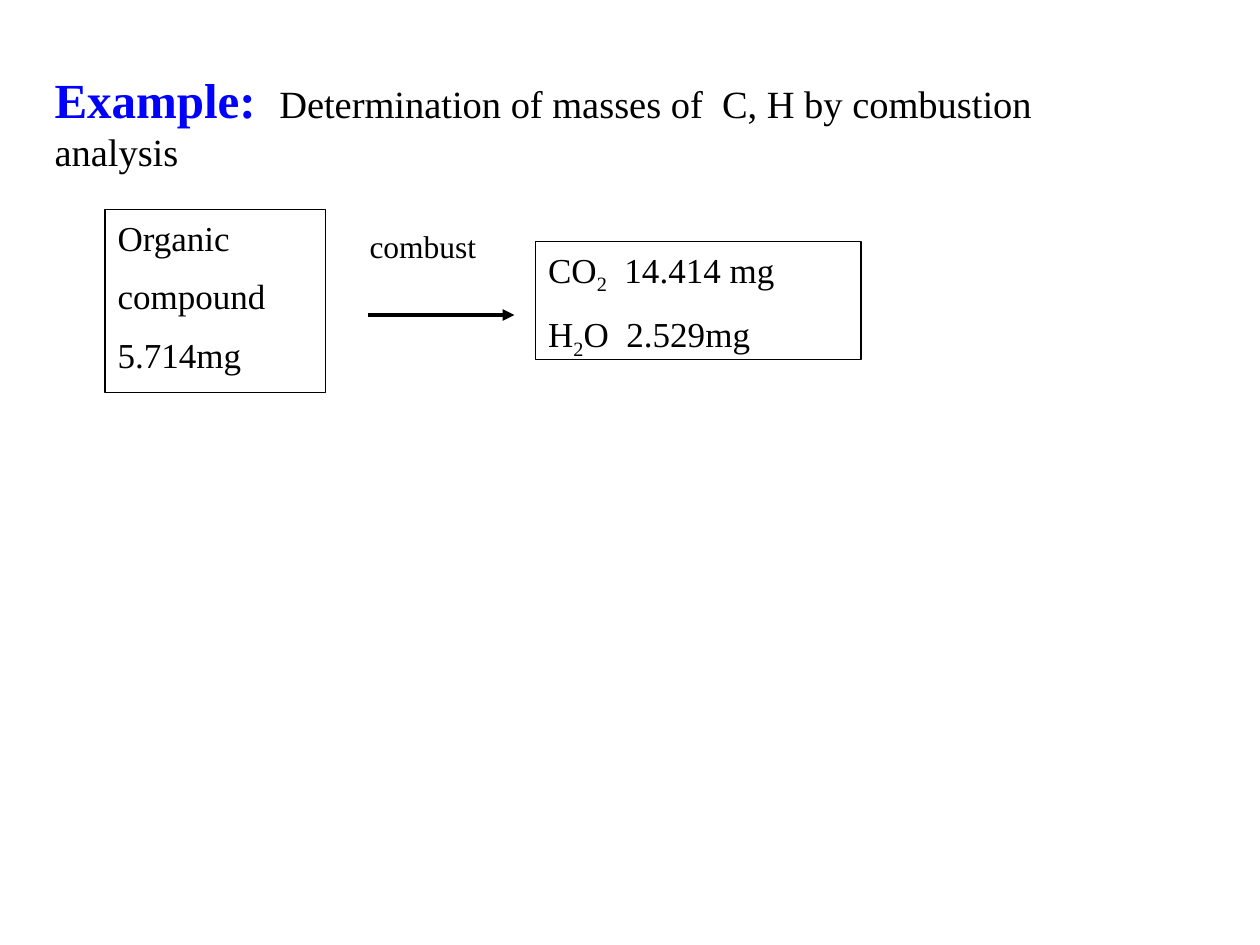
from lxml import etree
from pptx import Presentation
from pptx.dml.color import RGBColor
from pptx.enum.shapes import MSO_CONNECTOR as Connector
from pptx.enum.shapes import MSO_SHAPE as Shape
from pptx.enum.text import MSO_ANCHOR as Anchor
from pptx.enum.text import MSO_AUTO_SIZE as AutoSize
from pptx.enum.text import PP_ALIGN as Align
from pptx.oxml.ns import qn
from pptx.util import Cm, Pt

BLACK = RGBColor(0x00, 0x00, 0x00)
BLUE = RGBColor(0x00, 0x00, 0xFF)
FONT = "Times New Roman"


def add_run(paragraph, text, size, color=BLACK, bold=False, subscript=False):
    run = paragraph.add_run()
    run.text = text
    run.font.name = FONT
    run.font.size = Pt(size)
    run.font.bold = bold
    run.font.color.rgb = color
    if subscript:
        run.font._element.set("baseline", "-25000")


def prepare_frame(shape):
    frame = shape.text_frame
    frame.word_wrap = True
    frame.auto_size = AutoSize.NONE
    frame.vertical_anchor = Anchor.TOP
    frame.margin_left = frame.margin_right = Cm(0.25)
    frame.margin_top = frame.margin_bottom = Cm(0.13)
    frame.paragraphs[0].alignment = Align.LEFT
    return frame


def place_title(slide, left, top, width, height):
    title = slide.shapes.title
    title.left, title.top, title.width, title.height = left, top, width, height
    paragraph = prepare_frame(title).paragraphs[0]
    properties = paragraph._p.get_or_add_pPr()
    tabs = etree.SubElement(properties, qn("a:tabLst"))
    etree.SubElement(tabs, qn("a:tab"), pos=str(Cm(4.53)), algn="l")
    add_run(paragraph, "Example:", 28, BLUE, bold=True)
    add_run(paragraph, "\tDetermination of masses of  C, H by combustion", 22)
    paragraph.add_line_break()
    add_run(paragraph, "analysis", 22)


def add_substance_box(slide, left, top, width, height, lines):
    box = slide.shapes.add_shape(Shape.RECTANGLE, left, top, width, height)
    box.shadow.inherit = False
    box.fill.background()
    box.line.color.rgb = BLACK
    box.line.width = Pt(0.75)
    frame = prepare_frame(box)
    for index, parts in enumerate(lines):
        if index:
            paragraph = frame.add_paragraph()
            paragraph.space_before = Pt(9.5)
            paragraph.alignment = Align.LEFT
        else:
            paragraph = frame.paragraphs[0]
        for position, text in enumerate(parts):
            add_run(paragraph, text, 20, subscript=position == 1)


def add_reaction_arrow(slide, left, top, width, height, label):
    text_box = slide.shapes.add_textbox(left, top, width, Cm(1.02))
    add_run(prepare_frame(text_box).paragraphs[0], label, 18)
    start = left + Cm(0.21)
    arrow = slide.shapes.add_connector(
        Connector.STRAIGHT, start, top + height, start + Cm(2.96), top + height
    )
    arrow.line.color.rgb = BLACK
    arrow.line.width = Pt(2.25)
    etree.SubElement(arrow.line._get_or_add_ln(), qn("a:tailEnd"), type="triangle")
    etree.SubElement(arrow._element.spPr, qn("a:effectLst"))


def main():
    presentation = Presentation()
    presentation.slide_width, presentation.slide_height = Cm(25.4), Cm(19.05)
    slide = presentation.slides.add_slide(presentation.slide_layouts[5])
    place_title(slide, Cm(0.85), Cm(1.27), Cm(23.5), Cm(2.38))
    add_substance_box(
        slide, Cm(2.12), Cm(4.23), Cm(4.45), Cm(3.68),
        [["Organic"], ["compound"], ["5.714mg"]],
    )
    add_reaction_arrow(slide, Cm(7.2), Cm(4.45), Cm(3.6), Cm(1.9), "combust")
    add_substance_box(
        slide, Cm(10.8), Cm(4.87), Cm(6.56), Cm(2.38),
        [["CO", "2", "  14.414 mg"], ["H", "2", "O  2.529mg"]],
    )
    presentation.save("out.pptx")


if __name__ == "__main__":
    main()
